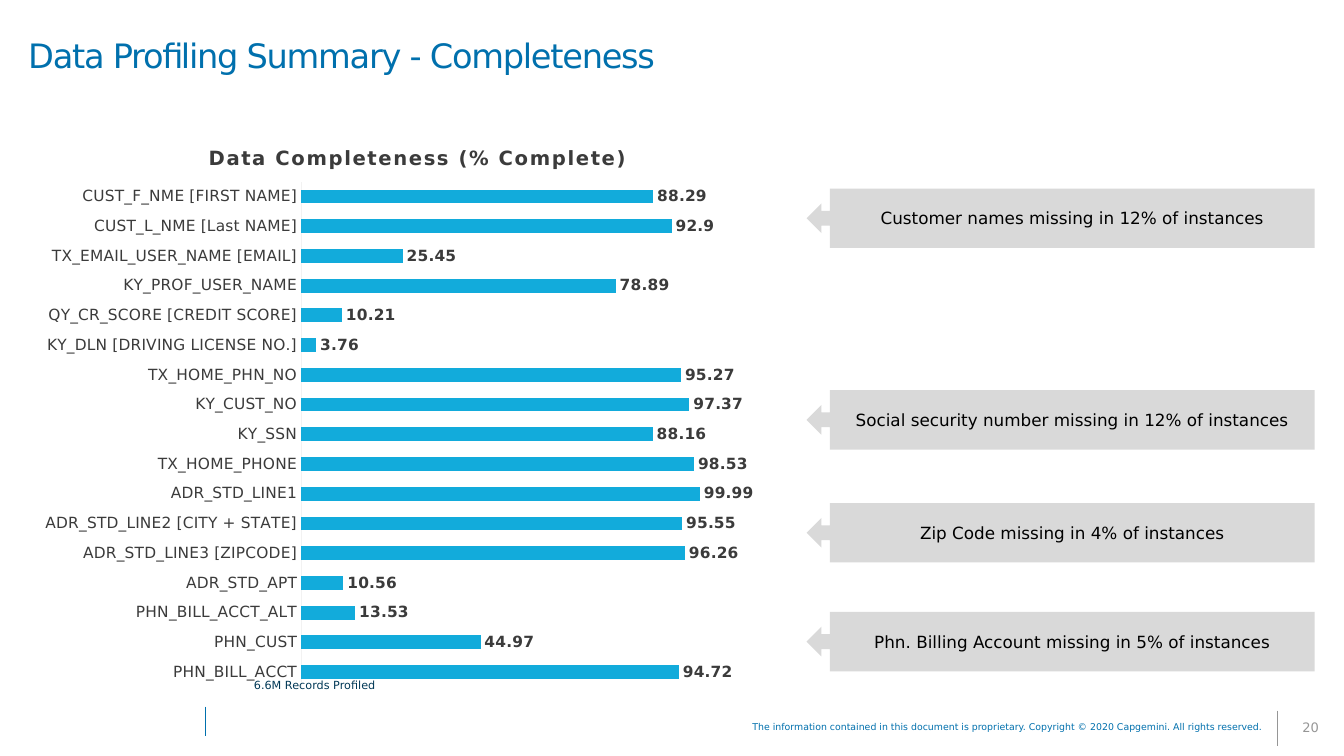
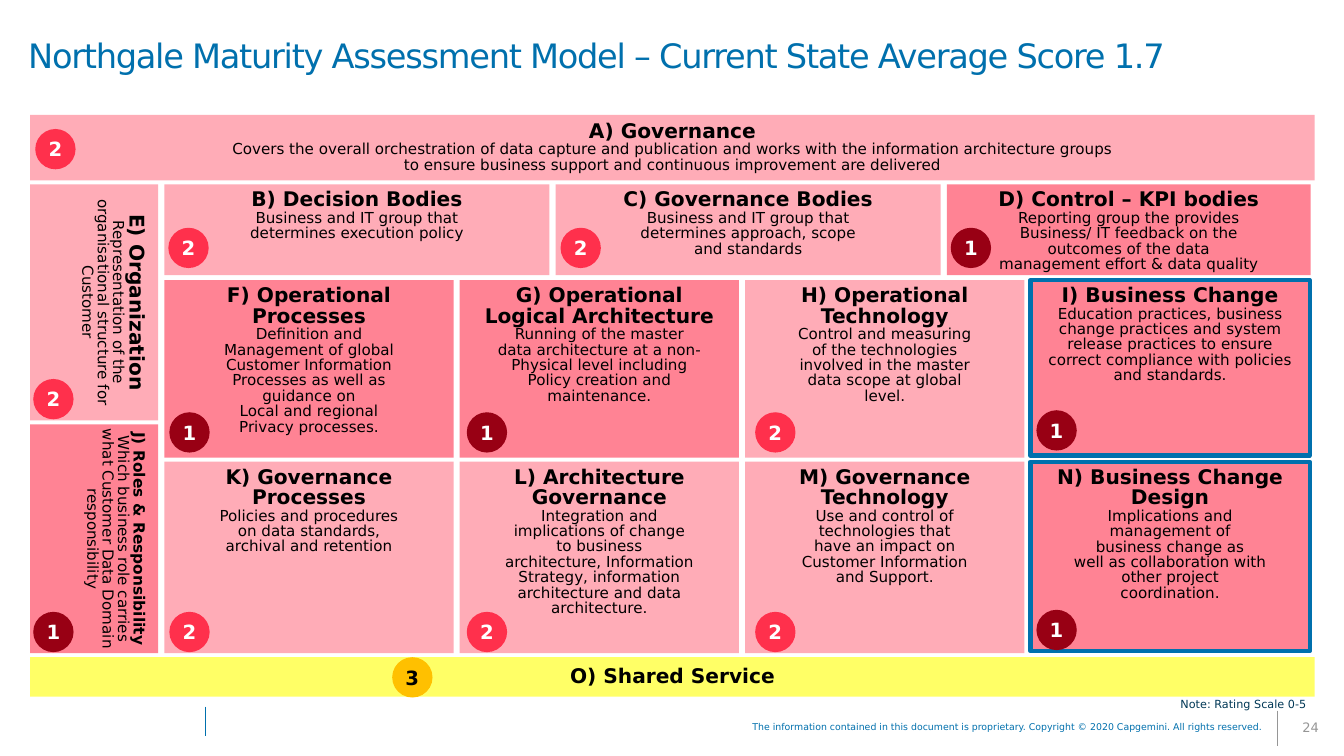
import dataclasses

import lxml.etree
import pptx
import pptx.chart.data
import pptx.dml.color
import pptx.enum.chart
import pptx.enum.shapes
import pptx.enum.text
import pptx.oxml
import pptx.oxml.ns
import pptx.util

Inches = pptx.util.Inches
Pt = pptx.util.Pt
RGBColor = pptx.dml.color.RGBColor
SHAPE = pptx.enum.shapes.MSO_SHAPE
ALIGN = pptx.enum.text.PP_ALIGN
ANCHOR = pptx.enum.text.MSO_ANCHOR

FONT = "DejaVu Sans"
BLUE = RGBColor(0x00, 0x70, 0xAD)
NAVY = RGBColor(0x00, 0x38, 0x56)
BAR_BLUE = RGBColor(0x12, 0xAB, 0xDB)
CHART_TEXT = RGBColor(0x3B, 0x3B, 0x3B)
AXIS_GREY = RGBColor(0xF2, 0xF2, 0xF2)
CALLOUT_GREY = RGBColor(0xD9, 0xD9, 0xD9)
FOOTER_GREY = RGBColor(0x96, 0x96, 0x96)
BLACK = RGBColor(0x00, 0x00, 0x00)
WHITE = RGBColor(0xFF, 0xFF, 0xFF)
AREA_FILLS = {
    1: RGBColor(0xFF, 0x83, 0x94),
    2: RGBColor(0xFF, 0xAC, 0xB7),
    3: RGBColor(0xFF, 0xFF, 0x66),
}
BADGE_FILLS = {
    1: RGBColor(0x98, 0x00, 0x14),
    2: RGBColor(0xFF, 0x30, 0x4C),
    3: RGBColor(0xFF, 0xC0, 0x00),
}

COPYRIGHT = ("The information contained in this document is proprietary. "
             "Copyright © 2020 Capgemini. All rights reserved.")
LINE_SPACING = 0.85
BADGE_SIZE = 0.4
COLUMN_GAP = 0.06
ROW_GAP = 0.04

COMPLETENESS = [
    ("PHN_BILL_ACCT", 94.72),
    ("PHN_CUST", 44.97),
    ("PHN_BILL_ACCT_ALT", 13.53),
    ("ADR_STD_APT", 10.56),
    ("ADR_STD_LINE3 [ZIPCODE]", 96.26),
    ("ADR_STD_LINE2 [CITY + STATE]", 95.55),
    ("ADR_STD_LINE1", 99.99),
    ("TX_HOME_PHONE", 98.53),
    ("KY_SSN", 88.16),
    ("KY_CUST_NO", 97.37),
    ("TX_HOME_PHN_NO", 95.27),
    ("KY_DLN [DRIVING LICENSE NO.]", 3.76),
    ("QY_CR_SCORE [CREDIT SCORE]", 10.21),
    ("KY_PROF_USER_NAME", 78.89),
    ("TX_EMAIL_USER_NAME [EMAIL]", 25.45),
    ("CUST_L_NME [Last NAME]", 92.9),
    ("CUST_F_NME [FIRST NAME]", 88.29),
]
FINDINGS = [
    (1.87, "Customer names missing in 12% of instances"),
    (3.87, "Social security number missing in 12% of instances"),
    (4.99, "Zip Code missing in 4% of instances"),
    (6.07, "Phn. Billing Account missing in 5% of instances"),
]


@dataclasses.dataclass
class Area:
    """One scored area of the maturity model."""
    heading: str
    body: str
    score: int
    outlined: bool = False
    heading_size: float = 14.4


GOVERNANCE = Area(
    "A) Governance",
    "Covers the overall orchestration of data capture and publication and works with "
    "the information architecture groups\nto ensure business support and continuous "
    "improvement are delivered", 2)
SHARED_SERVICE = Area("O) Shared Service", "", 3)
ORGANIZATION = Area(
    "E) Organization",
    "Representation of the\norganisational structure for\nCustomer", 2)
ROLES = Area(
    "J) Roles & Responsibility",
    "Which business role carries\nwhat Customer Data Domain\nresponsibility", 1,
    heading_size=11)
BODIES = [
    Area("B) Decision Bodies",
         "Business and IT group that\ndetermines execution policy", 2),
    Area("C) Governance Bodies",
         "Business and IT group that\ndetermines approach, scope\nand standards", 2),
    Area("D) Control – KPI bodies",
         "Reporting group the provides\nBusiness/ IT feedback on the\n"
         "outcomes of the data\nmanagement effort & data quality", 1),
]
OPERATIONS = [
    Area("F) Operational\nProcesses",
         "Definition and\nManagement of global\nCustomer Information\n"
         "Processes as well as\nguidance on\nLocal and regional\nPrivacy processes.", 1),
    Area("G) Operational\nLogical Architecture",
         "Running of the master\ndata architecture at a non-\n"
         "Physical level including\nPolicy creation and\nmaintenance.", 1),
    Area("H) Operational\nTechnology",
         "Control and measuring\nof the technologies\ninvolved in the master\n"
         "data scope at global\nlevel.", 2),
    Area("I) Business Change",
         "Education practices, business change practices and system release practices "
         "to ensure correct compliance with policies and standards.", 1, outlined=True),
]
DESIGN = [
    Area("K) Governance\nProcesses",
         "Policies and procedures\non data standards,\narchival and retention", 2),
    Area("L) Architecture\nGovernance",
         "Integration and\nimplications of change\nto business\n"
         "architecture, Information\nStrategy, information\n"
         "architecture and data\narchitecture.", 2),
    Area("M) Governance\nTechnology",
         "Use and control of\ntechnologies that\nhave an impact on\n"
         "Customer Information\nand Support.", 2),
    Area("N) Business Change\nDesign",
         "Implications and\nmanagement of\nbusiness change as\n"
         "well as collaboration with\nother project\ncoordination.", 1, outlined=True),
]


def style(font, size, color, bold=False):
    """Set the face, size, colour and weight of a font."""
    font.name, font.size, font.bold = FONT, Pt(size), bold
    font.color.rgb = color


def write(paragraph, text, size, color, bold=False, align=ALIGN.LEFT, spacing=None):
    """Fill a paragraph with text in one style."""
    paragraph.text = text.replace("\n", "\v")
    paragraph.alignment = align
    paragraph.line_spacing = spacing
    style(paragraph.font, size, color, bold)


def track(paragraph, points):
    """Set the letter spacing of a paragraph's runs."""
    for run in paragraph.runs:
        run._r.get_or_add_rPr().set("spc", str(round(points * 100)))


def set_insets(frame, left, top, right, bottom):
    """Set the inner margins of a text frame."""
    frame.margin_left, frame.margin_top = Inches(left), Inches(top)
    frame.margin_right, frame.margin_bottom = Inches(right), Inches(bottom)


def add_label(slide, box, text, size, color, wrap=True, **paragraph_style):
    """Place a plain text box and return its frame."""
    frame = slide.shapes.add_textbox(*map(Inches, box)).text_frame
    frame.word_wrap = wrap
    write(frame.paragraphs[0], text, size, color, **paragraph_style)
    return frame


def add_filled(slide, kind, box, fill):
    """Place a flat shape without outline or shadow."""
    shape = slide.shapes.add_shape(kind, *map(Inches, box))
    shape.shadow.inherit = False
    shape.fill.solid()
    shape.fill.fore_color.rgb = fill
    shape.line.fill.background()
    return shape


def add_divider(slide, x, top, bottom, color):
    """Draw a thin vertical footer line."""
    line = slide.shapes.add_connector(
        pptx.enum.shapes.MSO_CONNECTOR.STRAIGHT,
        Inches(x), Inches(top), Inches(x), Inches(bottom))
    line.line.color.rgb = color
    line.line.width = Pt(0.75)
    lxml.etree.SubElement(line._element.spPr, pptx.oxml.ns.qn("a:effectLst"))


def add_slide(deck, title, number):
    """Start a slide with its title and footer."""
    slide = deck.slides.add_slide(deck.slide_layouts[5])
    heading = slide.shapes.title
    heading.left, heading.top = 0, 0
    heading.width, heading.height = deck.slide_width, Inches(1.16)
    frame = heading.text_frame
    frame.auto_size = pptx.enum.text.MSO_AUTO_SIZE.NONE
    frame.vertical_anchor = ANCHOR.MIDDLE
    set_insets(frame, 0.28, 0.03, 0.15, 0.03)
    write(frame.paragraphs[0], title, 24, BLUE, spacing=LINE_SPACING)
    track(frame.paragraphs[0], -0.9)

    add_divider(slide, 12.67, 7.05, 7.4, FOOTER_GREY)
    add_divider(slide, 2.04, 7.01, 7.3, BLUE)
    page = add_label(slide, (12.67, 7.05, 0.66, 0.35), str(number), 9.3, FOOTER_GREY,
                     align=ALIGN.CENTER, spacing=LINE_SPACING)
    page.vertical_anchor = ANCHOR.MIDDLE
    add_label(slide, (5.99, 7.12, 6.64, 0.2), COPYRIGHT, 6.7, BLUE,
              align=ALIGN.RIGHT, spacing=LINE_SPACING)
    return slide


def set_layout(parent, index, **fractions):
    """Fix the place of a chart part as fractions of the chart."""
    for old in parent.findall(pptx.oxml.ns.qn("c:layout")):
        parent.remove(old)
    target = '<c:layoutTarget val="inner"/>' if "w" in fractions else ""
    modes = "".join(f'<c:{key}Mode val="edge"/>' for key in "xy")
    values = "".join(f'<c:{key} val="{value}"/>' for key, value in fractions.items())
    parent.insert(index, pptx.oxml.parse_xml(
        f'<c:layout {pptx.oxml.ns.nsdecls("c")}><c:manualLayout>'
        f'{target}{modes}{values}</c:manualLayout></c:layout>'))


def add_completeness_chart(slide, box):
    """Draw the bar chart of completeness by field."""
    data = pptx.chart.data.CategoryChartData()
    data.categories = [field for field, _ in COMPLETENESS]
    data.add_series("Series 1", [percent for _, percent in COMPLETENESS])
    chart = slide.shapes.add_chart(
        pptx.enum.chart.XL_CHART_TYPE.BAR_CLUSTERED, *map(Inches, box), data).chart
    style(chart.font, 10.5, CHART_TEXT)
    chart.has_legend = False
    chart.has_title = True
    caption = chart.chart_title.text_frame.paragraphs[0]
    caption.text = "Data Completeness (% Complete)"
    style(caption.font, 14, CHART_TEXT, True)
    track(caption, 1)
    set_layout(chart.chart_title._element, 1, x=0.23, y=0.04)
    set_layout(chart._chartSpace.chart.plotArea, 0, x=0.356, y=0.11, w=0.626, h=0.872)

    fields, percents = chart.category_axis, chart.value_axis
    fields.major_tick_mark = pptx.enum.chart.XL_TICK_MARK.NONE
    fields.format.line.color.rgb = AXIS_GREY
    fields.format.line.width = Pt(1)
    style(fields.tick_labels.font, 11, CHART_TEXT)
    percents.visible = False
    percents.has_major_gridlines = False
    percents.minimum_scale, percents.maximum_scale = 0, 120

    plot = chart.plots[0]
    plot.gap_width, plot.overlap, plot.vary_by_categories = 115, -20, False
    bars = plot.series[0].format.fill
    bars.solid()
    bars.fore_color.rgb = BAR_BLUE
    plot.has_data_labels = True
    plot.data_labels.show_value = True
    plot.data_labels.position = pptx.enum.chart.XL_LABEL_POSITION.OUTSIDE_END
    style(plot.data_labels.font, 11, CHART_TEXT, True)


def add_finding(slide, box, text):
    """Place a callout that points left at the chart."""
    callout = add_filled(slide, SHAPE.LEFT_ARROW_CALLOUT, box, CALLOUT_GREY)
    callout.adjustments[3] = 0.954
    for index in range(3):
        callout.adjustments[index] = 0.25
    callout.text_frame.vertical_anchor = ANCHOR.MIDDLE
    write(callout.text_frame.paragraphs[0], text, 12, BLACK, align=ALIGN.CENTER)


def add_area(slide, box, area, badge_dx, badge_lift, anchor=ANCHOR.TOP, turned=False):
    """Place an area and its score badge, measured from the box's lower left corner."""
    left, top, width, height = box
    if area.outlined:
        height -= 0.02
    panel = add_filled(slide, SHAPE.RECTANGLE, (left, top, width, height),
                       AREA_FILLS[area.score])
    if area.outlined:
        panel.line.color.rgb = BLUE
        panel.line.width = Pt(3)
    frame = panel.text_frame
    frame.word_wrap = area.outlined
    frame.vertical_anchor = anchor
    set_insets(frame, 0.12, 0.06, 0.12, 0.06)
    if turned:
        frame._txBody.bodyPr.set("vert", "vert")
    write(frame.paragraphs[0], area.heading, area.heading_size, BLACK, True,
          ALIGN.CENTER, LINE_SPACING)
    if area.body:
        write(frame.add_paragraph(), area.body, 10.8, BLACK, False,
              ALIGN.CENTER, LINE_SPACING)

    badge_top = top + height - badge_lift - BADGE_SIZE
    badge = add_filled(slide, SHAPE.OVAL,
                       (left + badge_dx, badge_top, BADGE_SIZE, BADGE_SIZE),
                       BADGE_FILLS[area.score])
    badge.text_frame.word_wrap = False
    badge.text_frame.vertical_anchor = ANCHOR.MIDDLE
    set_insets(badge.text_frame, 0, 0, 0, 0)
    write(badge.text_frame.paragraphs[0], str(area.score), 14,
          BLACK if area.score == 3 else WHITE, True, ALIGN.CENTER)


def add_area_row(slide, left, top, height, widths, areas, badge_dxs, badge_lift):
    """Place areas side by side with equal gaps."""
    for width, area, badge_dx in zip(widths, areas, badge_dxs):
        add_area(slide, (left, top, width, height), area, badge_dx, badge_lift)
        left += width + COLUMN_GAP


def build_completeness(deck):
    """Build the data profiling slide."""
    slide = add_slide(deck, "Data Profiling Summary - Completeness", 20)
    add_completeness_chart(slide, (0.29, 1.17, 7.58, 5.75))
    for top, text in FINDINGS:
        add_finding(slide, (8, top, 5.04, 0.59), text)
    add_label(slide, (2.42, 6.68, 1.43, 0.24), "6.6M Records Profiled", 8, NAVY, wrap=False)


def build_maturity(deck):
    """Build the maturity model slide."""
    slide = add_slide(
        deck, "Northgale Maturity Assessment Model – Current State Average Score 1.7", 24)
    left, top, full_width = 0.3, 1.83, 12.74
    add_area(slide, (left, 1.14, full_width, 0.65), GOVERNANCE, 0.05, 0.11, ANCHOR.MIDDLE)

    side_top = top
    for area, height in ((ORGANIZATION, 2.34), (ROLES, 2.27)):
        add_area(slide, (left, side_top, 1.27, height), area, 0.03, 0.01, turned=True)
        side_top += height + ROW_GAP

    grid_left = left + 1.27 + COLUMN_GAP
    columns, badge_dxs = (2.87, 2.77, 2.77, 2.77), (0.05, 0.07, 0.1, 0.06)
    add_area_row(slide, grid_left, top, 0.9, (3.82, 3.82, 3.61), BODIES,
                 (0.04, 0.05, 0.04), 0.07)
    add_area_row(slide, grid_left, 2.78, 1.76, columns, OPERATIONS, badge_dxs, 0.05)
    add_area_row(slide, grid_left, 4.58, 1.9, columns, DESIGN, badge_dxs, 0.01)

    add_area(slide, (left, 6.52, full_width, 0.39), SHARED_SERVICE, 3.59, -0.01,
             ANCHOR.MIDDLE)
    add_label(slide, (11.61, 6.87, 1.53, 0.24), "Note: Rating Scale 0-5", 8, NAVY, wrap=False)


def main():
    """Build and save the presentation."""
    deck = pptx.Presentation()
    deck.slide_width, deck.slide_height = Inches(13.33), Inches(7.5)
    build_completeness(deck)
    build_maturity(deck)
    deck.save("out.pptx")


if __name__ == "__main__":
    main()
